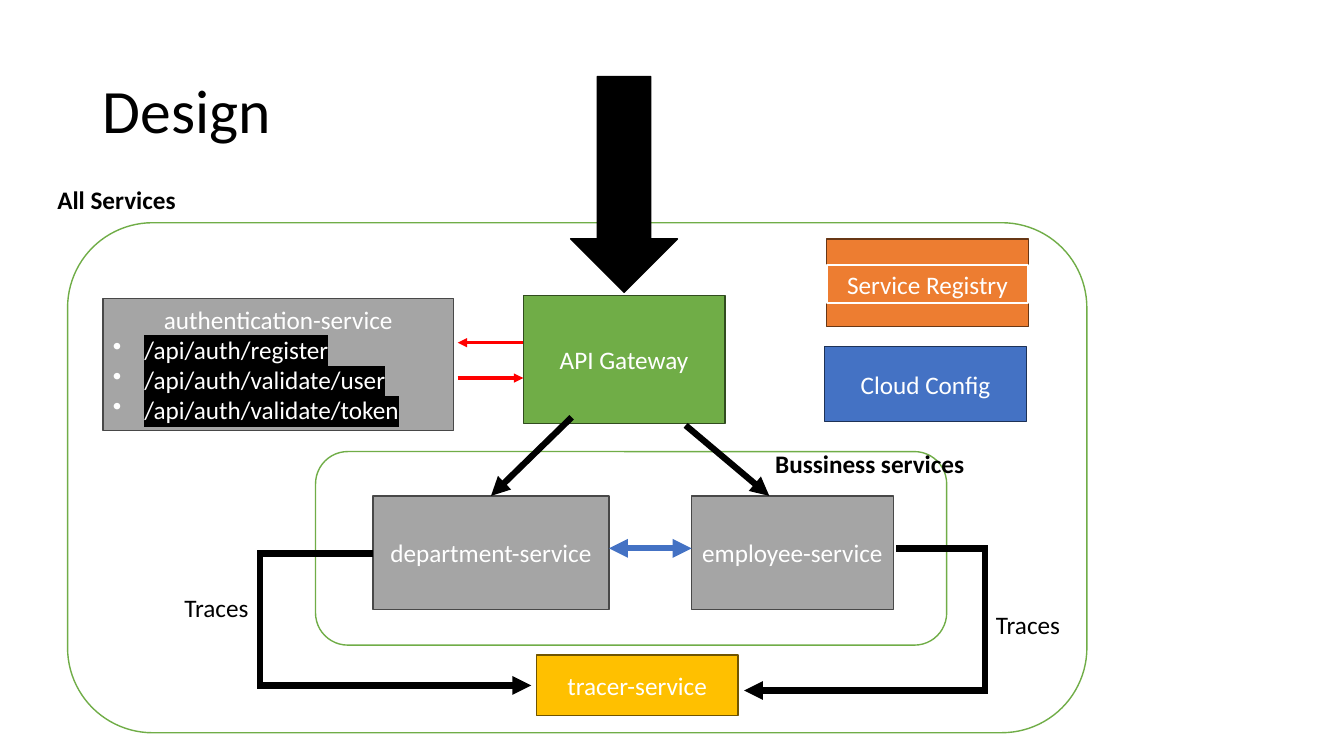
import pptx
import pptx.dml.color
import pptx.enum.shapes
import pptx.enum.text
import pptx.oxml
import pptx.oxml.ns
import pptx.util

PX = 9144
FONT = "Calibri"
SHAPES = pptx.enum.shapes.MSO_SHAPE
CONNECTORS = pptx.enum.shapes.MSO_CONNECTOR
ALIGN = pptx.enum.text.PP_ALIGN
MIDDLE = pptx.enum.text.MSO_ANCHOR.MIDDLE
COLORS = {
    "white": "FFFFFF", "black": "000000", "red": "FF0000",
    "green": "70AD47", "green edge": "314C1F",
    "orange": "ED7D31", "orange edge": "683715",
    "blue": "4472C4", "blue edge": "1E3256",
    "gray": "A5A5A5", "gray edge": "484848",
    "gold": "FFC000", "gold edge": "705400",
}


def rgb(color):
    """Return the named colour as an RGB value."""
    return pptx.dml.color.RGBColor.from_string(COLORS[color])


def emu(*lengths):
    """Turn px lengths into EMU."""
    return [length * PX for length in lengths]


def within(box, left, top, width, height):
    """Place a rectangle relative to the corner of a box."""
    return box[0] + left, box[1] + top, width, height


def add_element(parent, tag, **attributes):
    """Append a drawing element with its attributes."""
    element = parent.makeelement(pptx.oxml.ns.qn(tag), attributes)
    parent.append(element)
    return element


def add_run(paragraph, text, color, size=18, bold=False):
    """Add one formatted run."""
    run = paragraph.add_run()
    run.text = text
    run.font.name = FONT
    run.font.size = pptx.util.Pt(size)
    run.font.bold = bold
    run.font.color.rgb = rgb(color)
    return run


def add_label(slide, box, text, size=18, bold=False):
    """Add a black text box."""
    frame = slide.shapes.add_textbox(*emu(*box)).text_frame
    frame.word_wrap = True
    add_run(frame.paragraphs[0], text, "black", size, bold)
    return frame


def add_block(slide, box, fill, edge, text="", kind=SHAPES.RECTANGLE, weight=1):
    """Add a filled shape with centred white text."""
    shape = slide.shapes.add_shape(kind, *emu(*box))
    shape.shadow.inherit = False
    shape.fill.solid()
    shape.fill.fore_color.rgb = rgb(fill)
    shape.line.color.rgb = rgb(edge)
    shape.line.width = pptx.util.Pt(weight)
    frame = shape.text_frame
    frame.word_wrap = True
    frame.vertical_anchor = MIDDLE
    if text:
        frame.paragraphs[0].alignment = ALIGN.CENTER
        add_run(frame.paragraphs[0], text, "white")
    return frame


def add_arrow(slide, box, start, end, color="black", weight=4.5, both=False, bend=None):
    """Add an arrow between two points of a box, bent at an x position if given."""
    kind = CONNECTORS.STRAIGHT if bend is None else CONNECTORS.ELBOW
    points = [box[axis] + point[axis] for point in (start, end) for axis in (0, 1)]
    connector = slide.shapes.add_connector(kind, *emu(*points))
    connector.line.color.rgb = rgb(color)
    connector.line.width = pptx.util.Pt(weight)
    properties = connector._element.spPr
    line = properties.find(pptx.oxml.ns.qn("a:ln"))
    add_element(line, "a:miter", lim="800000")
    if both:
        add_element(line, "a:headEnd", type="triangle")
    add_element(line, "a:tailEnd", type="triangle")
    add_element(properties, "a:effectLst")
    if bend is not None:
        ratio = round(100000 * (bend - start[0]) / (end[0] - start[0]))
        adjustments = properties.find(".//" + pptx.oxml.ns.qn("a:avLst"))
        add_element(adjustments, "a:gd", name="adj1", fmla=f"val {ratio}")


def add_endpoint(frame, text):
    """Add a bulleted line with black highlighting."""
    paragraph = frame.add_paragraph()
    properties = paragraph._p.get_or_add_pPr()
    properties.set("marL", "285750")
    properties.set("indent", "-285750")
    add_element(properties, "a:buChar", char="•")
    run = add_run(paragraph, text, "white")
    fill = run._r.rPr.find(pptx.oxml.ns.qn("a:solidFill"))
    highlight = fill.makeelement(pptx.oxml.ns.qn("a:highlight"), {})
    add_element(highlight, "a:srgbClr", val=COLORS["black"])
    fill.addnext(highlight)


def draw_title(slide, box):
    """Draw the slide title."""
    frame = add_label(slide, box, "Design", 44)
    frame.vertical_anchor = MIDDLE
    frame.paragraphs[0].line_spacing = 0.9


def draw_platform(slide, box):
    """Draw the frame of all services with gateway, registry and configuration."""
    add_block(slide, box, "white", "green", kind=SHAPES.ROUNDED_RECTANGLE)
    add_label(slide, within(box, -20, -43, 200, 40), "All Services", bold=True)
    add_block(slide, within(box, 753, 16, 200, 87), "orange", "orange edge")
    add_block(slide, within(box, 753, 42, 200, 38), "orange", "white",
              "Service Registry", weight=1.5)
    add_block(slide, within(box, 751, 123, 200, 74), "blue", "blue edge", "Cloud Config")
    add_block(slide, within(box, 452, 72, 200, 127), "green", "green edge", "API Gateway")
    add_block(slide, within(box, 499, -145, 106, 214), "black", "black",
              kind=SHAPES.DOWN_ARROW)


def draw_authentication(slide, box):
    """Draw the authentication service and its exchange with the gateway."""
    frame = add_block(slide, box, "gray", "gray edge", "authentication-service")
    for endpoint in ("register", "validate/user", "validate/token"):
        add_endpoint(frame, f"/api/auth/{endpoint}")
    add_arrow(slide, box, (417, 44), (352, 44), "red", 2.25)
    add_arrow(slide, box, (352, 79), (417, 79), "red", 2.25)


def draw_business(slide, box):
    """Draw the business services and the calls that reach them."""
    add_block(slide, box, "white", "green", kind=SHAPES.ROUNDED_RECTANGLE)
    for name, left, width in (("department", 57, 234), ("employee", 373, 200)):
        add_block(slide, within(box, left, 44, width, 113), "gray", "gray edge",
                  f"{name}-service")
    add_label(slide, within(box, 446, -8, 253, 40), "Bussiness services", bold=True)
    add_arrow(slide, box, (367, -26), (450, 44))
    add_arrow(slide, box, (254, -34), (174, 44))
    add_arrow(slide, box, (291, 96), (373, 96), "blue", both=True)


def draw_tracing(slide, box):
    """Draw the tracing service and the traces sent to it."""
    add_block(slide, within(box, 359, 106, 200, 60), "gold", "gold edge", "tracer-service")
    add_arrow(slide, box, (716, 0), (565, 141), bend=804)
    add_arrow(slide, box, (197, 5), (354, 136), bend=85)
    for left, top in ((805, 56), (0, 39)):
        add_label(slide, within(box, left, top, 200, 40), "Traces")


def main():
    """Build the design slide and save it."""
    presentation = pptx.Presentation()
    presentation.slide_width, presentation.slide_height = emu(1333, 750)
    slide = presentation.slides.add_slide(presentation.slide_layouts[6])
    draw_title(slide, (92, 40, 1150, 145))
    draw_platform(slide, (67, 221, 1011, 506))
    draw_authentication(slide, (102, 296, 348, 131))
    draw_business(slide, (313, 448, 626, 192))
    draw_tracing(slide, (173, 544, 1005, 166))
    presentation.save("out.pptx")


if __name__ == "__main__":
    main()
